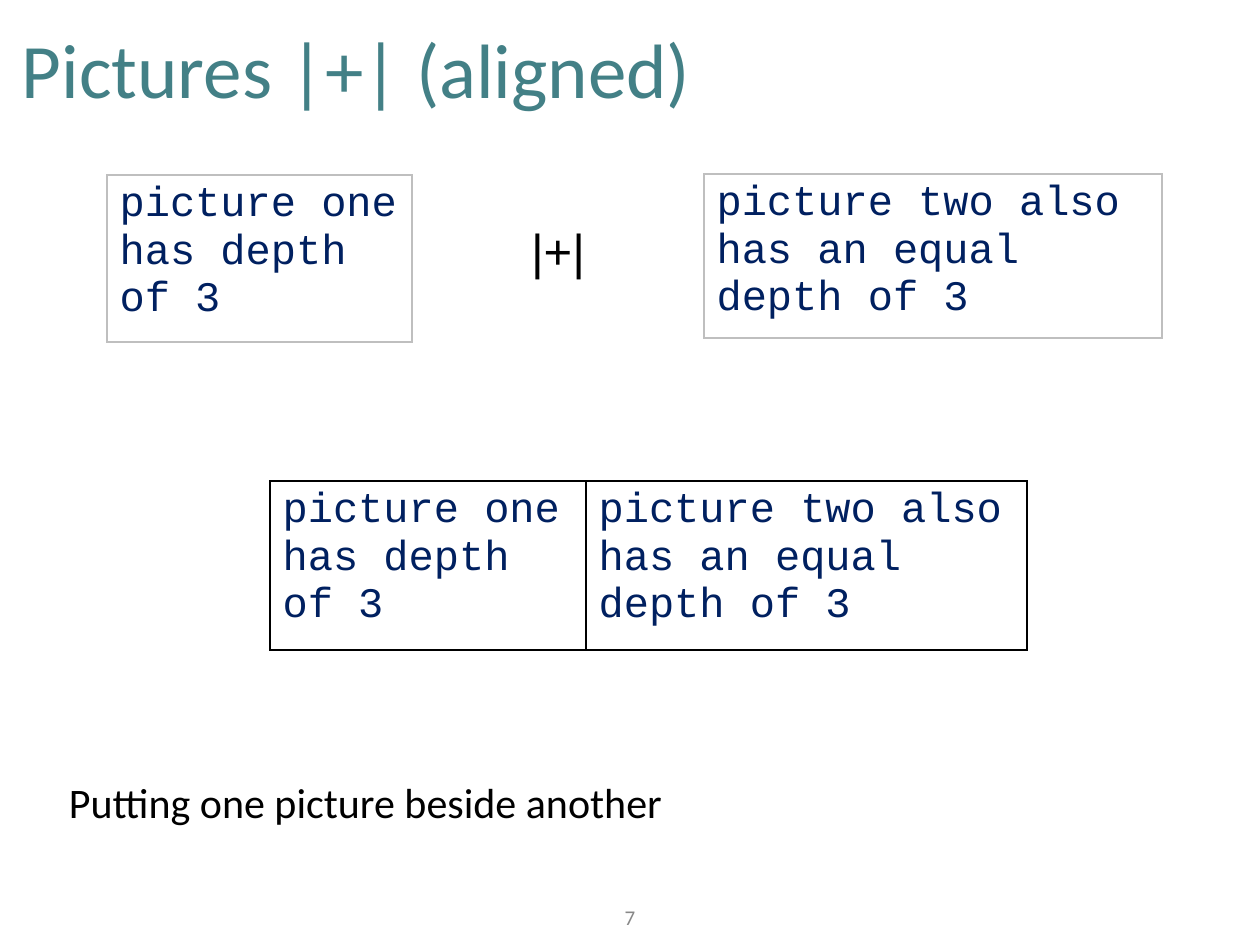
from dataclasses import dataclass

from lxml.etree import SubElement
from pptx import Presentation
from pptx.dml.color import RGBColor
from pptx.enum.text import MSO_ANCHOR, PP_ALIGN
from pptx.oxml.ns import qn
from pptx.util import Emu, Pt

PIXEL = 914400 // 126


@dataclass(frozen=True)
class Theme:
    """Colours, fonts and type sizes of the slide."""
    title: str = "438086"
    ink: str = "000000"
    code: str = "002060"
    faint: str = "BFBFBF"
    muted: str = "888888"
    sans: str = "Calibri"
    operator_font: str = "Arial"
    mono: str = "Courier New"
    title_size: int = 44
    operator_size: int = 28
    body_size: int = 24
    number_size: int = 12


THEME = Theme()
PICTURE_ONE = "picture one has depth of 3"
PICTURE_TWO = "picture two also has an equal depth of 3"


def pixels(*lengths):
    """Turn pixel lengths into EMU."""
    return [Emu(length * PIXEL) for length in lengths]


def format_runs(text_frame, font, size, color):
    """Set font, size and colour on every run."""
    for paragraph in text_frame.paragraphs:
        for run in paragraph.runs:
            run.font.name = font
            run.font.size = Pt(size)
            run.font.color.rgb = RGBColor.from_string(color)


def add_label(slide, box, text, font, size, color, align=PP_ALIGN.LEFT, wrap=True):
    """Add a vertically centred line of text."""
    frame = slide.shapes.add_textbox(*pixels(*box)).text_frame
    frame.word_wrap = wrap
    frame.vertical_anchor = MSO_ANCHOR.MIDDLE
    (frame.margin_left, frame.margin_top,
     frame.margin_right, frame.margin_bottom) = pixels(6, 6, 6, 6)
    frame.text = text
    frame.paragraphs[0].alignment = align
    format_runs(frame, font, size, color)


def set_borders(cell, color):
    """Draw a one-point border on all four sides of a cell."""
    properties = cell._tc.get_or_add_tcPr()
    for position, side in enumerate(("lnL", "lnR", "lnT", "lnB")):
        line = properties.makeelement(qn(f"a:{side}"), {"w": str(Pt(1))})
        fill = SubElement(line, qn("a:solidFill"))
        SubElement(fill, qn("a:srgbClr"), val=color)
        properties.insert(position, line)


def add_picture_table(slide, left, top, height, border, columns):
    """Add a one-row table from (text, width) columns."""
    width = sum(column_width for _, column_width in columns)
    table = slide.shapes.add_table(
        1, len(columns), *pixels(left, top, width, height)).table
    table.first_row = False
    table.horz_banding = False
    for index, (text, column_width) in enumerate(columns):
        table.columns[index].width = pixels(column_width)[0]
        cell = table.cell(0, index)
        cell.text_frame.text = text
        cell.fill.background()
        set_borders(cell, border)
        format_runs(cell.text_frame, THEME.mono, THEME.body_size, THEME.code)


def main():
    """Build the slide and save it."""
    presentation = Presentation()
    presentation.slide_width, presentation.slide_height = pixels(1260, 945)
    slide = presentation.slides.add_slide(presentation.slide_layouts[6])

    add_label(slide, (16, 13, 1228, 109), "Pictures |+| (aligned)",
              THEME.sans, THEME.title_size, THEME.title)
    add_label(slide, (63, 770, 1134, 64), "Putting one picture beside another",
              THEME.sans, THEME.body_size, THEME.ink)
    add_label(slide, (612, 899, 36, 36), "7", THEME.sans, THEME.number_size,
              THEME.muted, PP_ALIGN.CENTER, wrap=False)
    add_label(slide, (518, 214, 80, 72), "|+|", THEME.operator_font,
              THEME.operator_size, THEME.ink, PP_ALIGN.CENTER, wrap=False)

    add_picture_table(slide, 107, 175, 167, THEME.faint, [(PICTURE_ONE, 305)])
    add_picture_table(slide, 704, 174, 155, THEME.faint, [(PICTURE_TWO, 458)])
    add_picture_table(slide, 270, 481, 169, THEME.ink,
                      [(PICTURE_ONE, 316), (PICTURE_TWO, 441)])
    presentation.save("out.pptx")


main()
